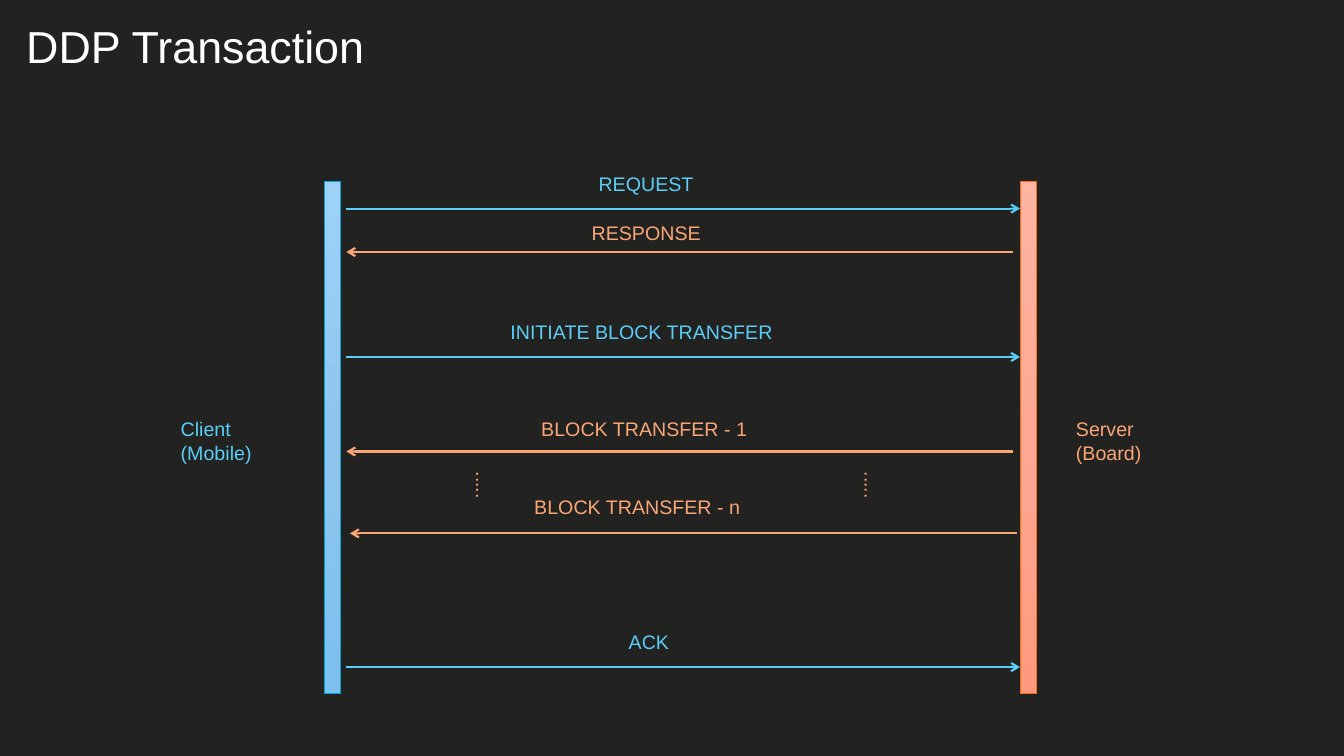
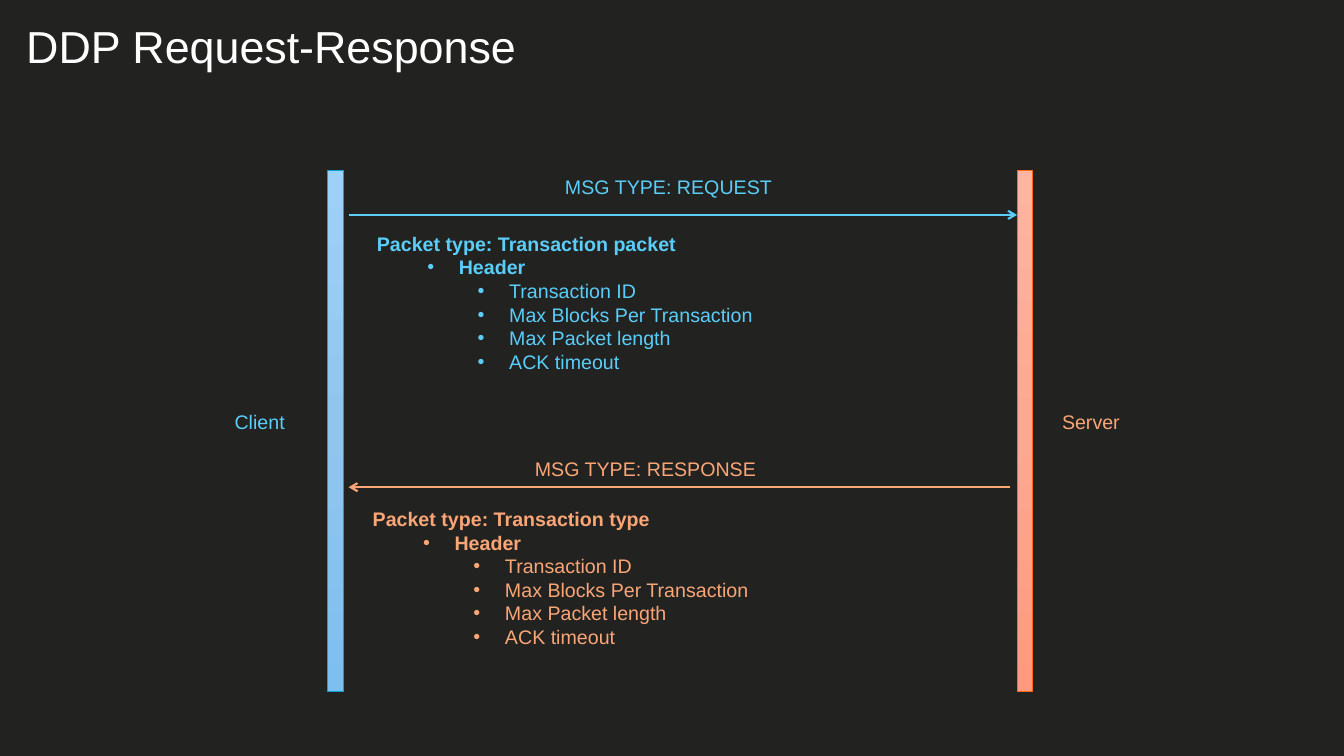
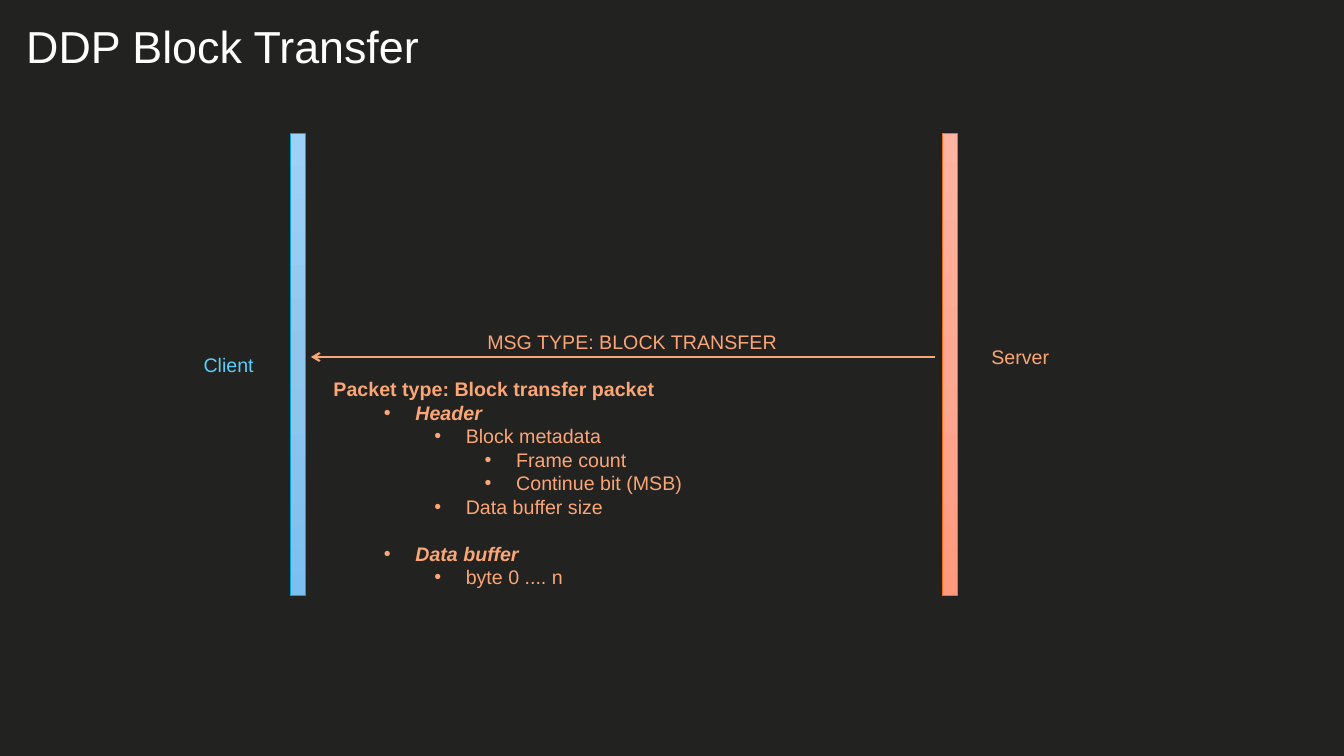
from copy import deepcopy
from dataclasses import dataclass

from pptx import Presentation
from pptx.dml.color import RGBColor
from pptx.enum.shapes import MSO_CONNECTOR as Conn, MSO_SHAPE as Shape
from pptx.enum.text import MSO_ANCHOR as Anchor, MSO_AUTO_SIZE as Auto, PP_ALIGN as Align
from pptx.oxml.ns import qn
from pptx.oxml.xmlchemy import OxmlElement as Node
from pptx.util import Pt


@dataclass(frozen=True)
class Side:
    ink: str
    edge: str
    grad: tuple


@dataclass(frozen=True)
class Theme:
    font: str = "Arial"
    back: str = "222221"
    head: str = "FFFFFF"
    big: int = 32
    small: int = 14
    pitch: float = 16.8
    step: float = 36
    hang: float = 22.5
    near: float = 4
    far: float = 5
    client: Side = Side("5ACEF9", "08A1D9", ("9DD1F8", "90C6EE", "7CC0F0"))
    server: Side = Side("FBA676", "F96A1B", ("FFB5A1", "FDA892", "FF9A7E"))


T = Theme()
C, S = T.client, T.server
LABEL = 24.2

PACKET = [
    (1, "Header", "b"),
    (2, "Transaction ID", ""),
    (2, "Max Blocks Per Transaction", ""),
    (2, "Max Packet length", ""),
    (2, "ACK timeout", ""),
]
BLOCK = [
    (0, "Packet type: Block transfer packet", "b"),
    (1, "Header", "bi"),
    (2, "Block metadata", ""),
    (3, "Frame count", ""),
    (3, "Continue bit (MSB)", ""),
    (2, "Data buffer size", ""),
    (1, "Data buffer", "bi"),
    (2, "byte 0 .... n", ""),
]


def color(code):
    return RGBColor.from_string(code)


def write(para, text, size, ink, style=""):
    run = para.add_run()
    run.text = text
    font = run.font
    font.name, font.size = T.font, Pt(size)
    font.color.rgb = color(ink)
    font.bold, font.italic = "b" in style, "i" in style


def place(shape, left, top, width, height):
    shape.left, shape.top = Pt(left), Pt(top)
    shape.width, shape.height = Pt(width), Pt(height)
    frame = shape.text_frame
    frame.word_wrap, frame.auto_size = True, Auto.NONE
    frame.vertical_anchor = Anchor.TOP
    return frame


def start(deck, layout, title):
    """Add a slide with its title."""
    slide = deck.slides.add_slide(deck.slide_layouts.get_by_name(layout))
    para = place(slide.shapes.title, 11.5, 10, 936, 46).paragraphs[0]
    para.alignment = Align.LEFT
    write(para, title, T.big, T.head)
    return slide


def label(slide, side, left, top, width, *lines):
    box = slide.shapes.add_textbox(0, 0, 0, 0)
    height = LABEL + T.pitch * (len(lines) - 1)
    frame = place(box, left, top, width, height)
    for i, line in enumerate(lines):
        para = frame.add_paragraph() if i else frame.paragraphs[0]
        para.line_spacing = Pt(T.pitch)
        write(para, line, T.small, side.ink)
    return box


def dots(slide, left):
    """Add an upright row of dots."""
    box = label(slide, S, left, 329.8, 31.7, ".....")
    box.height = Pt(41)
    box.element.txBody.bodyPr.set("vert", "eaVert")


def bar(slide, side, left, top, width, height):
    shape = slide.shapes.add_shape(
        Shape.RECTANGLE, Pt(left), Pt(top), Pt(width), Pt(height))
    shape.shadow.inherit = False
    shape.line.color.rgb = color(side.edge)
    shape.line.width = Pt(0.5)
    fill = shape.fill
    fill.gradient()
    fill.gradient_angle = 270
    stops = shape.element.spPr.find(qn("a:gradFill")).find(qn("a:gsLst"))
    stops.insert(1, deepcopy(stops[0]))
    for i, (stop, code) in enumerate(zip(fill.gradient_stops, side.grad)):
        stop.position = i / 2
        stop.color.rgb = color(code)


def bars(slide, left, right, top, width, height):
    """Draw both bars and give the edges of the lane between them."""
    bar(slide, C, left, top, width, height)
    bar(slide, S, right, top, width, height)
    return left + width, right


def arrow(slide, lane, side, y, shift=0):
    """Draw a message away from the bar of its sender."""
    left, right = lane[0] + T.near + shift, lane[1] + shift
    ends = (left, right) if side is C else (right - T.far, left)
    line = slide.shapes.add_connector(
        Conn.STRAIGHT, Pt(ends[0]), Pt(y), Pt(ends[1]), Pt(y))
    line.line.color.rgb = color(side.ink)
    line.line.width = Pt(1.5)
    tail = Node("a:tailEnd")
    tail.set("type", "arrow")
    line.line.fill  # the line element exists before the head is added
    props = line.element.spPr
    props.find(qn("a:ln")).append(tail)
    props.append(Node("a:effectLst"))


def message(slide, lane, side, y, text, left, top, width, shift=0):
    arrow(slide, lane, side, y, shift)
    label(slide, side, left, top, width, text)


def bullet(para, level):
    props = para._p.get_or_add_pPr()
    props.set("marL", str(Pt(level * T.step + T.hang if level else 0)))
    props.set("indent", str(Pt(-T.hang if level else 0)))
    if level:
        face, mark = Node("a:buFont"), Node("a:buChar")
        face.set("typeface", T.font)
        mark.set("char", "•")
        props.extend([face, mark])
    else:
        props.append(Node("a:buNone"))


def fields(slide, slot, side, rows, left, top, width, height, gap=None):
    """Fill a body placeholder; the row named gap has a free line above."""
    frame = place(slide.placeholders[slot], left, top, width, height)
    for i, (level, text, style) in enumerate(rows):
        para = frame.add_paragraph() if i else frame.paragraphs[0]
        para.level = level
        para.alignment = Align.LEFT
        para.line_spacing = Pt(T.pitch)
        para.space_before = Pt(T.pitch if text == gap else 0)
        para.space_after = Pt(0)
        bullet(para, level)
        write(para, text, T.small, side.ink, style)


def flow(deck):
    slide = start(deck, "Title Only", "DDP Transaction")
    lane = bars(slide, 231.7, 728.6, 129.6, 11.7, 366)
    for row in (
        (C, 149, "REQUEST", 420.5, 119.5, 88),
        (S, 180, "RESPONSE", 415.5, 154.5, 99),
        (C, 255, "INITIATE BLOCK TRANSFER", 357.5, 225, 225),
        (S, 322.5, "BLOCK TRANSFER - 1", 379.5, 294.5, 181),
        (S, 381, "BLOCK TRANSFER - n", 374.5, 350, 181, 2.6),
        (C, 476.5, "ACK", 442, 446.5, 45),
    ):
        message(slide, lane, *row)
    for left in (326, 603.5):
        dots(slide, left)
    label(slide, C, 122, 294.5, 78, "Client", "(Mobile)")
    label(slide, S, 761.5, 294.5, 72, "Server", "(Board)")


def pair(deck):
    slide = start(deck, "Two Content", "DDP Request-Response")
    lane = bars(slide, 234, 726.5, 121.7, 11, 372)
    message(slide, lane, C, 153.5, "MSG TYPE: REQUEST", 396.5, 121.7, 177)
    message(slide, lane, S, 348, "MSG TYPE: RESPONSE", 375, 322.5, 188)
    label(slide, C, 160.5, 289.5, 58, "Client")
    label(slide, S, 751.5, 289.5, 65, "Server")
    for slot, side, kind, left, top in (
        (1, C, "packet", 262, 162),
        (2, S, "type", 259, 358.5),
    ):
        rows = [(0, f"Packet type: Transaction {kind}", "b")] + PACKET
        fields(slide, slot, side, rows, left, top, 453, 109)


def block(deck):
    slide = start(deck, "Title and Content", "DDP Block Transfer")
    lane = bars(slide, 207.3, 673, 95, 10.8, 330.5)
    message(slide, lane, S, 255, "MSG TYPE: BLOCK TRANSFER", 341, 232, 230)
    label(slide, C, 138.3, 248.5, 55.5, "Client")
    label(slide, S, 701, 242.7, 61, "Server")
    fields(slide, 1, S, BLOCK, 231, 265.7, 428, 194, gap="Data buffer")


def main():
    deck = Presentation()
    deck.slide_width, deck.slide_height = Pt(960), Pt(540)
    fill = deck.slide_master.background.fill
    fill.solid()
    fill.fore_color.rgb = color(T.back)
    for build in (flow, pair, block):
        build(deck)
    deck.save("out.pptx")


if __name__ == "__main__":
    main()
